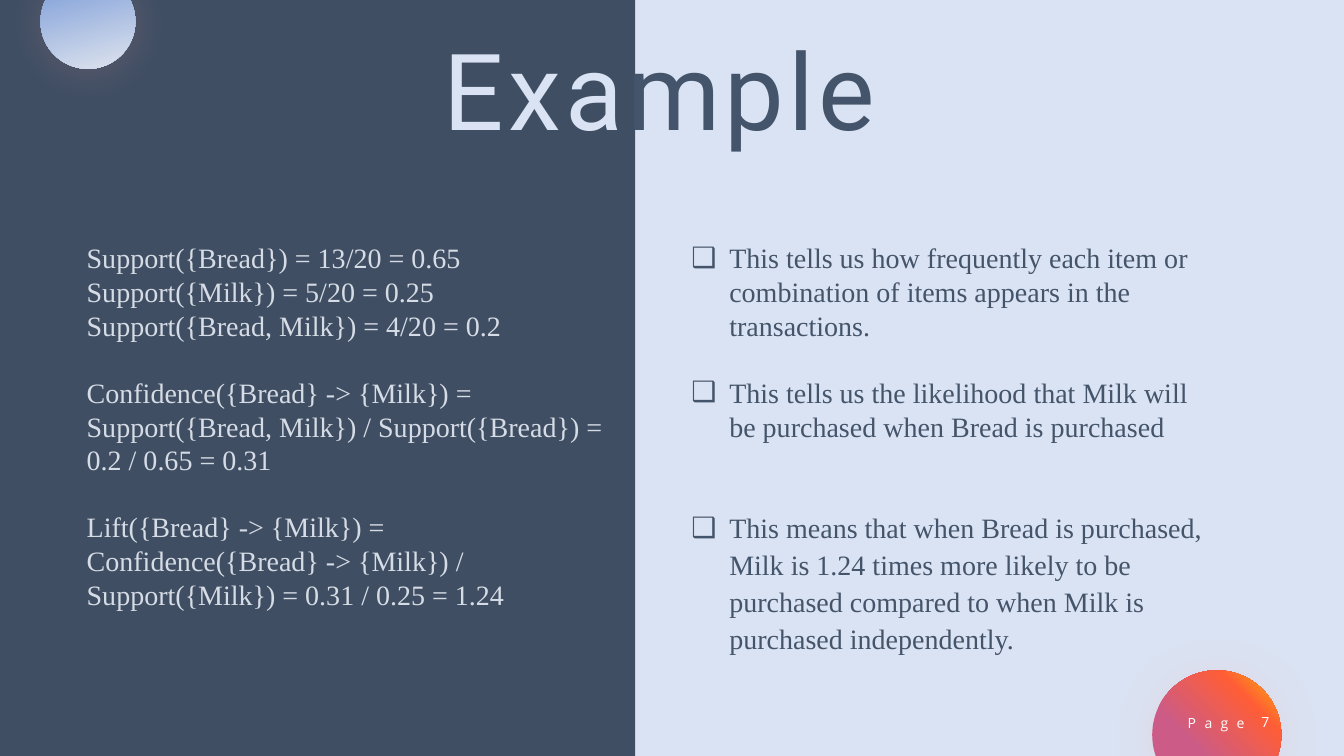
"""Build the Example slide on support, confidence and lift."""
import lxml.etree
import pptx
import pptx.dml.color
import pptx.enum.shapes
import pptx.enum.text
import pptx.oxml
import pptx.oxml.ns
import pptx.util

Pt = pptx.util.Pt
RGB = pptx.dml.color.RGBColor
SHAPE = pptx.enum.shapes.MSO_SHAPE
ALIGN = pptx.enum.text.PP_ALIGN

PALE = RGB(0xDA, 0xE3, 0xF3)
DARK = RGB(0x3F, 0x4E, 0x63)
SLATE = RGB(0x44, 0x54, 0x6A)
MIST = RGB(0xD6, 0xDC, 0xE5)
WHITE = RGB(0xFF, 0xFF, 0xFF)
GLOW = RGB(0xFB, 0x9F, 0x9F)
SKY = [(0, PALE), (30, RGB(0x8F, 0xAA, 0xDC)), (100, RGB(0xF2, 0xF2, 0xF2))]
SUN = [(37, RGB(0xCC, 0x5C, 0x87)), (76, RGB(0xFF, 0x5D, 0x37)),
       (100, RGB(0xFF, 0xC0, 0x00))]

SERIF = "Times New Roman"
MATH = [
    ("Support({Bread}) = 13/20 = 0.65", 0, 1),
    ("Support({Milk}) = 5/20 = 0.25", 0, 1),
    ("Support({Bread, Milk}) = 4/20 = 0.2", 0, 1),
    ("Confidence({Bread} -> {Milk}) = Support({Bread, Milk}) / "
     "Support({Bread}) = 0.2 / 0.65 = 0.31", 24, 1),
    ("Lift({Bread} -> {Milk}) = Confidence({Bread} -> {Milk}) / "
     "Support({Milk}) = 0.31 / 0.25 = 1.24", 24, 1),
]
NOTES = [
    ("This tells us how frequently each item or combination of items "
     "appears in the transactions.", 0, 1),
    ("This tells us the likelihood that Milk will be purchased when "
     "Bread is purchased", 24, 1),
    ("This means that when Bread is purchased, Milk is 1.24 times more "
     "likely to be purchased compared to when Milk is purchased "
     "independently.", 46.4, 1.1),
]


def place(shape, left, top, width, height):
    shape.left, shape.top = Pt(left), Pt(top)
    shape.width, shape.height = Pt(width), Pt(height)


def style(run, font, size, color, gap=0):
    run.font.name = font
    run.font.size = Pt(size)
    run.font.color.rgb = color
    if gap:
        run._r.get_or_add_rPr().set("spc", str(gap * 100))


def frame(shape):
    text = shape.text_frame
    text.word_wrap = True
    text.auto_size = pptx.enum.text.MSO_AUTO_SIZE.NONE
    text.vertical_anchor = pptx.enum.text.MSO_ANCHOR.TOP
    return text


def panel(slide, left, width, color):
    shape = slide.shapes.add_shape(
        SHAPE.RECTANGLE, Pt(left), Pt(0), Pt(width), Pt(540))
    shape.shadow.inherit = False
    shape.fill.solid()
    shape.fill.fore_color.rgb = color
    shape.line.fill.background()
    slide.shapes.title._element.addprevious(shape._element)


def ball(slide, left, top, size, stops, angle, turn=0):
    shape = slide.shapes.add_shape(
        SHAPE.OVAL, Pt(left), Pt(top), Pt(size), Pt(size))
    shape.rotation = turn
    shape.line.fill.background()
    space = pptx.oxml.ns.nsdecls("a")
    marks = "".join(
        f'<a:gs pos="{pos * 1000}"><a:srgbClr val="{color}"/></a:gs>'
        for pos, color in stops)
    fill = pptx.oxml.parse_xml(
        f'<a:gradFill {space} rotWithShape="1"><a:gsLst>{marks}</a:gsLst>'
        f'<a:lin ang="{angle * 60000}" scaled="0"/></a:gradFill>')
    glow = pptx.oxml.parse_xml(
        f'<a:effectLst {space}><a:outerShdw blurRad="{Pt(30)}" '
        f'dist="{Pt(2)}" dir="{78 * 60000}" algn="ctr" rotWithShape="0">'
        f'<a:srgbClr val="{GLOW}"><a:alpha val="19000"/></a:srgbClr>'
        '</a:outerShdw></a:effectLst>')
    props = shape._element.spPr
    props.find(pptx.oxml.ns.qn("a:prstGeom")).addnext(fill)
    props.append(glow)
    slide.shapes.title._element.addprevious(shape._element)


def head(slide):
    title = slide.shapes.title
    place(title, 317, 34.5, 360, 74)
    text = frame(title)
    text.margin_left = text.margin_right = 0
    text.margin_top = text.margin_bottom = 0
    text.text = "Exa"
    para = text.paragraphs[0]
    para.alignment = ALIGN.LEFT
    para.line_spacing = 0.8
    para.add_run().text = "mple"
    for run, color in zip(para.runs, (PALE, SLATE)):
        style(run, "Roboto", 76, color, 3)


def body(shape, left, height, items, color, mark=None):
    place(shape, left, 168.5, 391.7, height)
    text = frame(shape)
    text.text = "\n".join(item[0] for item in items)
    indent = Pt(27) if mark else 0
    for para, (_, before, lines) in zip(text.paragraphs, items):
        para.space_before = Pt(before)
        para.line_spacing = lines
        props = para._p.get_or_add_pPr()
        props.set("marL", str(indent))
        props.set("indent", str(-indent))
        kind = "a:buChar" if mark else "a:buNone"
        bullet = lxml.etree.SubElement(props, pptx.oxml.ns.qn(kind))
        if mark:
            bullet.set("char", mark)
        style(para.runs[0], SERIF, 20, color)


def label(slide, left, top, width, words, gap=0):
    box = slide.shapes.add_textbox(Pt(left), Pt(top), Pt(width), Pt(20))
    text = frame(box)
    text.text = words
    para = text.paragraphs[0]
    para.alignment = ALIGN.CENTER
    style(para.runs[0], "Open Sans", 10, WHITE, gap)


def main():
    deck = pptx.Presentation()
    deck.slide_width, deck.slide_height = Pt(960), Pt(540)
    slide = deck.slides.add_slide(deck.slide_layouts[3])
    panel(slide, 0, 960, PALE)
    panel(slide, -2, 455.7, DARK)
    ball(slide, 29, -18.5, 67.7, SKY, 45, 30)
    ball(slide, 823, 478.8, 92.2, SUN, 315)
    head(slide)
    body(slide.placeholders[1], 54.7, 273.6, MATH, MIST)
    body(slide.placeholders[2], 486.7, 330.5, NOTES, SLATE, "❑")
    label(slide, 831.6, 506.9, 74.2, "Page", 6)
    label(slide, 883.4, 506.2, 41, "7")
    deck.save("out.pptx")


if __name__ == "__main__":
    main()
